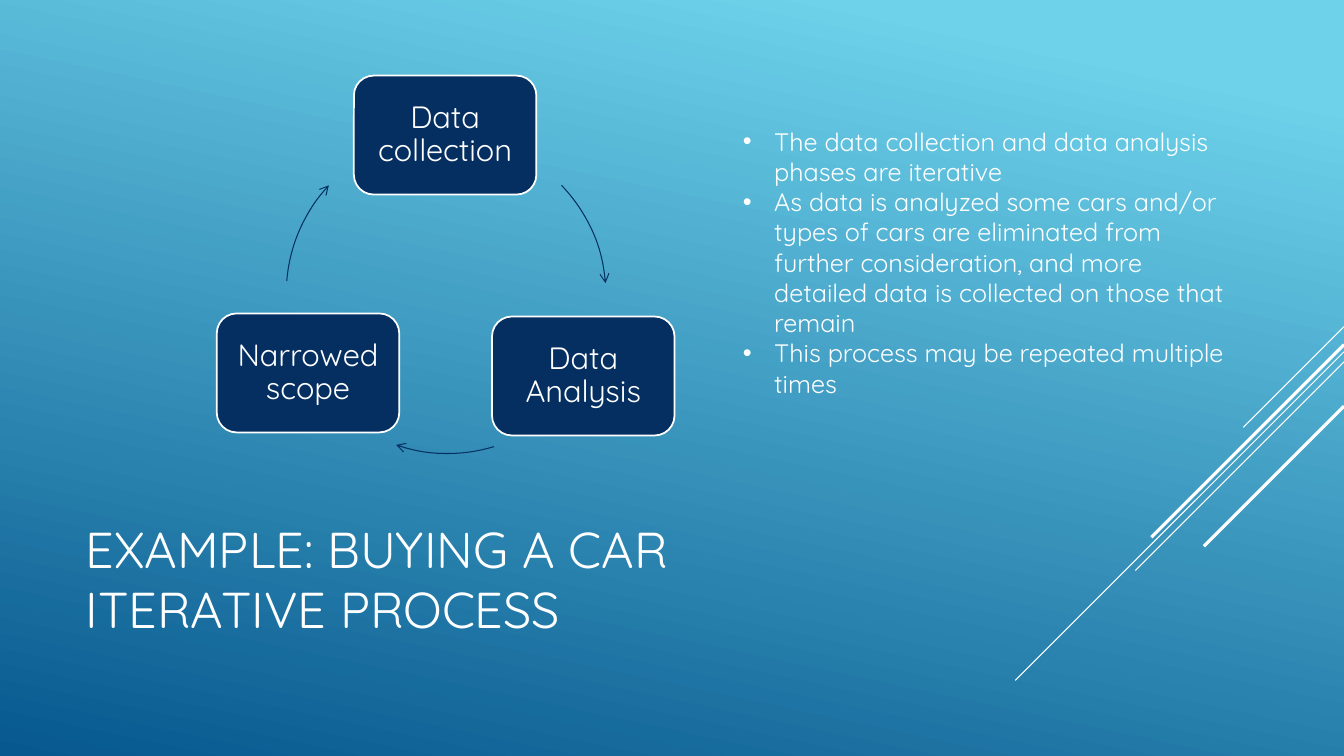
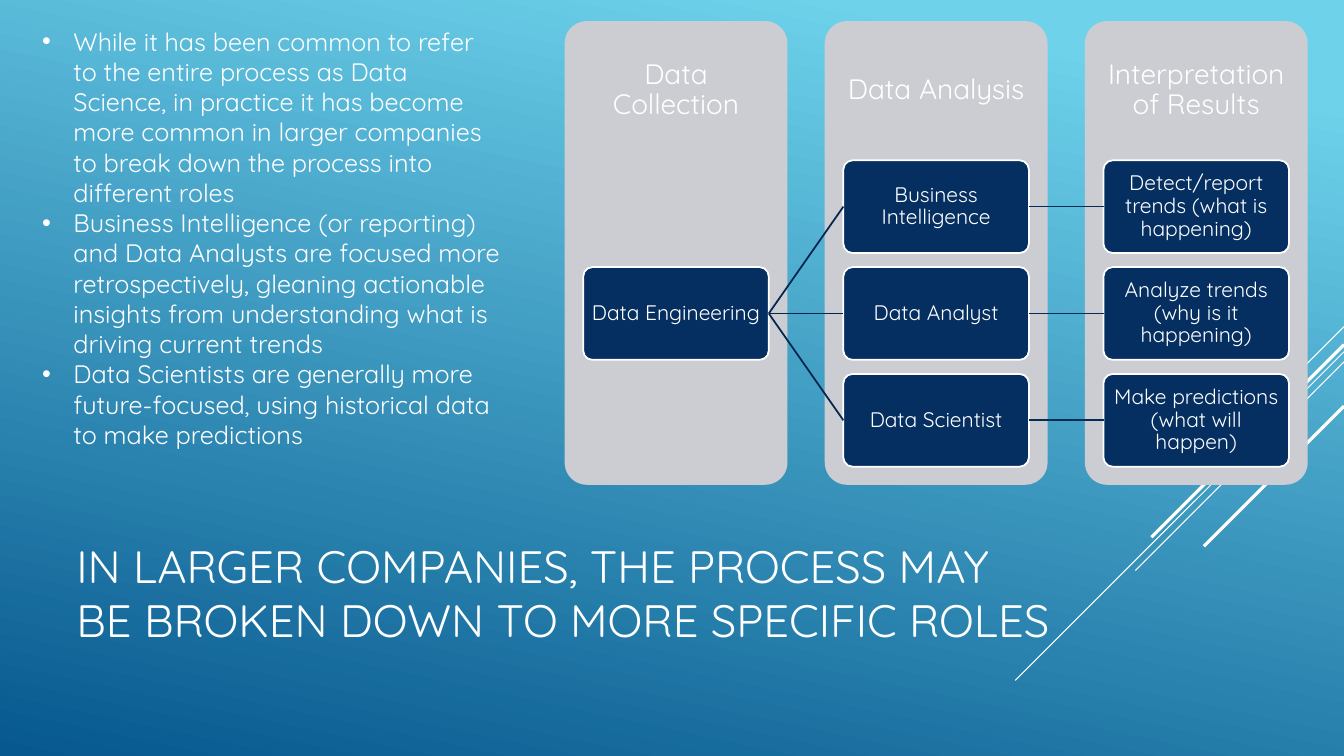
"""Build two slides on the data process: an iterative cycle and the roles in larger companies."""
from lxml.etree import SubElement
from pptx import Presentation
from pptx.dml.color import RGBColor
from pptx.enum.shapes import MSO_CONNECTOR, MSO_SHAPE
from pptx.enum.text import MSO_ANCHOR, MSO_AUTO_SIZE, PP_ALIGN
from pptx.oxml.ns import qn
from pptx.util import Inches, Pt

FONT = "Quicksand"
WHITE = RGBColor(0xFF, 0xFF, 0xFF)
NAVY = RGBColor(0x05, 0x2F, 0x61)
PANEL_GREY = RGBColor(0xCC, 0xCD, 0xD2)
SKY = RGBColor(0x6E, 0xD2, 0xEB)
DEEP_BLUE = RGBColor(0x06, 0x58, 0x8E)
LINK_COLORS = [RGBColor(0x04, 0x26, 0x4E), RGBColor(0x05, 0x2B, 0x58)]

SLIDE_WIDTH, SLIDE_HEIGHT = 13.33, 7.5
GRADIENT_STOPS = [(0.1, SKY), (1, DEEP_BLUE)]
DIAGONALS = [  # start height, horizontal and vertical run, weight
    (3.24, 1.0, 0.75), (3.49, 3.26, 0.75), (3.59, 2.07, 0.75),
    (3.42, 1.91, 2.25), (4.03, 1.39, 2.25),
]

CYCLE_TITLE = "EXAMPLE: BUYING A CAR\vITERATIVE PROCESS"
CYCLE_BULLETS = [
    "The data collection and data analysis phases are iterative",
    "As data is analyzed some cars and/or types of cars are eliminated from further "
    "consideration, and more detailed data is collected on those that remain",
    "This process may be repeated multiple times",
]
CYCLE_STEPS = [
    ("Data collection", 3.51, 0.75),
    ("Data Analysis", 4.88, 3.14),
    ("Narrowed scope", 2.15, 3.11),
]
CYCLE_BOX = (1.81, 1.18)
CYCLE_DIAMETER = 3.14
CYCLE_ARCS = [(2.87, 1.36, 316, 355.6), (2.87, 1.36, 73, 109), (2.84, 1.34, 184.4, 223)]

ROLES_TITLE = "IN LARGER COMPANIES, THE PROCESS MAY BE BROKEN DOWN TO MORE SPECIFIC ROLES"
ROLES_BULLETS = [
    "While it has been common to refer to the entire process as Data Science, in practice "
    "it has become more common in larger companies to break down the process into "
    "different roles",
    "Business Intelligence (or reporting) and Data Analysts are focused more "
    "retrospectively, gleaning actionable insights from understanding what is driving "
    "current trends",
    "Data Scientists are generally more future-focused, using historical data to make "
    "predictions",
]
ROLE_COLUMNS = [
    ("Data Collection", {1: "Data Engineering"}),
    ("Data Analysis", {0: "Business Intelligence", 1: "Data Analyst", 2: "Data Scientist"}),
    ("Interpretation of Results", {
        0: "Detect/report trends (what is happening)",
        1: "Analyze trends (why is it happening)",
        2: "Make predictions (what will happen)",
    }),
]
PANEL_LEFT, PANEL_TOP, PANEL_WIDTH, PANEL_HEIGHT = 5.6, 0.21, 2.21, 4.6
PANEL_PITCH = 2.58
HEADING_SHARE = 0.3
ROLE_WIDTH, ROLE_HEIGHT, ROLE_GAP = 1.84, 0.92, 0.14


def lengths(*values):
    return [Inches(value) for value in values]


def style_text(frame, size, margin=None):
    frame.word_wrap = True
    frame.vertical_anchor = MSO_ANCHOR.MIDDLE
    if margin is not None:
        frame.margin_left = frame.margin_right = Inches(margin)
        frame.margin_top = frame.margin_bottom = Inches(margin)
    for paragraph in frame.paragraphs:
        paragraph.font.name = FONT
        paragraph.font.size = Pt(size)
        paragraph.font.color.rgb = WHITE


def write_label(frame, text, size, margin):
    frame.text = text
    style_text(frame, size, margin)
    frame.paragraphs[0].alignment = PP_ALIGN.CENTER
    frame.paragraphs[0].line_spacing = 0.9


def add_title(slide, text, size, box):
    frame = slide.shapes.add_textbox(*lengths(*box)).text_frame
    frame.text = text
    style_text(frame, size)


def add_bullets(slide, items, box):
    frame = slide.shapes.add_textbox(*lengths(*box)).text_frame
    frame.text = "\n".join(items)
    style_text(frame, 18)
    frame.vertical_anchor = MSO_ANCHOR.TOP
    frame.auto_size = MSO_AUTO_SIZE.SHAPE_TO_FIT_TEXT
    indent = Inches(0.31)
    for paragraph in frame.paragraphs:
        properties = paragraph._p.get_or_add_pPr()
        properties.set("marL", str(indent))
        properties.set("indent", str(-indent))
        bullet_font = properties.makeelement(qn("a:buFont"), {"typeface": "Arial"})
        bullet = properties.makeelement(qn("a:buChar"), {"char": "•"})
        properties.insert_element_before(bullet_font, "a:tabLst", "a:defRPr", "a:extLst")
        properties.insert_element_before(bullet, "a:tabLst", "a:defRPr", "a:extLst")


def add_rounded(slide, box, fill, outlined=True, corner=None):
    shape = slide.shapes.add_shape(MSO_SHAPE.ROUNDED_RECTANGLE, *lengths(*box))
    shape.shadow.inherit = False
    shape.fill.solid()
    shape.fill.fore_color.rgb = fill
    if outlined:
        shape.line.color.rgb = WHITE
        shape.line.width = Pt(1.25)
    else:
        shape.line.fill.background()
    if corner is not None:
        shape.adjustments[0] = corner
    return shape


def add_line(slide, ends, color, weight):
    connector = slide.shapes.add_connector(MSO_CONNECTOR.STRAIGHT, *lengths(*ends))
    connector.line.color.rgb = color
    connector.line.width = Pt(weight)
    SubElement(connector._element.spPr, qn("a:effectLst"))
    return connector


def add_arc_arrow(slide, left, top, start, end):
    box = lengths(left, top, CYCLE_DIAMETER, CYCLE_DIAMETER)
    arc = slide.shapes.add_shape(MSO_SHAPE.ARC, *box)
    arc.shadow.inherit = False
    arc.fill.background()
    arc.line.color.rgb = NAVY
    arc.line.width = Pt(0.75)
    for index, degrees in enumerate((start, end)):
        arc.adjustments[index] = degrees * 0.6
    SubElement(arc._element.spPr.find(qn("a:ln")), qn("a:tailEnd"), type="arrow")


def set_background(master):
    fill = master.background.fill
    fill.gradient()
    fill.gradient_angle = 360 - 102
    for stop, (position, color) in zip(fill.gradient_stops, GRADIENT_STOPS):
        stop.position = position
        stop.color.rgb = color


def add_slide(presentation):
    slide = presentation.slides.add_slide(presentation.slide_layouts[6])
    for top, run, weight in DIAGONALS:
        add_line(slide, (SLIDE_WIDTH, top, SLIDE_WIDTH - run, top + run), WHITE, weight)
    return slide


def build_cycle(presentation):
    slide = add_slide(presentation)
    add_title(slide, CYCLE_TITLE, 36, (0.75, 4.91, 9.33, 1.65))
    for (text, left, top), arc in zip(CYCLE_STEPS, CYCLE_ARCS):
        step = add_rounded(slide, (left, top, *CYCLE_BOX), NAVY)
        write_label(step.text_frame, text, 22, 0.09)
        add_arc_arrow(slide, *arc)
    add_bullets(slide, CYCLE_BULLETS, (7.27, 1.2, 5.09, 2.83))


def build_roles(presentation):
    slide = add_slide(presentation)
    add_title(slide, ROLES_TITLE, 32.4, (0.66, 5.05, 9.87, 1.65))
    heading_height = PANEL_HEIGHT * HEADING_SHARE
    previous = {}
    for column, (heading, roles) in enumerate(ROLE_COLUMNS):
        left = PANEL_LEFT + column * PANEL_PITCH
        add_rounded(slide, (left, PANEL_TOP, PANEL_WIDTH, PANEL_HEIGHT), PANEL_GREY, False, 0.1)
        heading_box = lengths(left, PANEL_TOP, PANEL_WIDTH, heading_height)
        write_label(slide.shapes.add_textbox(*heading_box).text_frame, heading, 20, 0.16)
        current = {}
        for row, text in roles.items():
            role_left = left + (PANEL_WIDTH - ROLE_WIDTH) / 2
            role_top = PANEL_TOP + heading_height + row * (ROLE_HEIGHT + ROLE_GAP)
            role_box = (role_left, role_top, ROLE_WIDTH, ROLE_HEIGHT)
            current[row] = add_rounded(slide, role_box, NAVY, corner=0.1)
            write_label(current[row].text_frame, text, 15, 0.01)
            if previous:
                link = add_line(slide, (0, 0, 1, 1), LINK_COLORS[column - 1], 1.25)
                link.begin_connect(previous.get(row, previous[1]), 3)
                link.end_connect(current[row], 1)
        previous = current
    add_bullets(slide, ROLES_BULLETS, (0.32, 0.21, 4.75, 4.64))


def main():
    presentation = Presentation()
    presentation.slide_width, presentation.slide_height = lengths(SLIDE_WIDTH, SLIDE_HEIGHT)
    set_background(presentation.slide_master)
    build_cycle(presentation)
    build_roles(presentation)
    presentation.save("out.pptx")


main()
